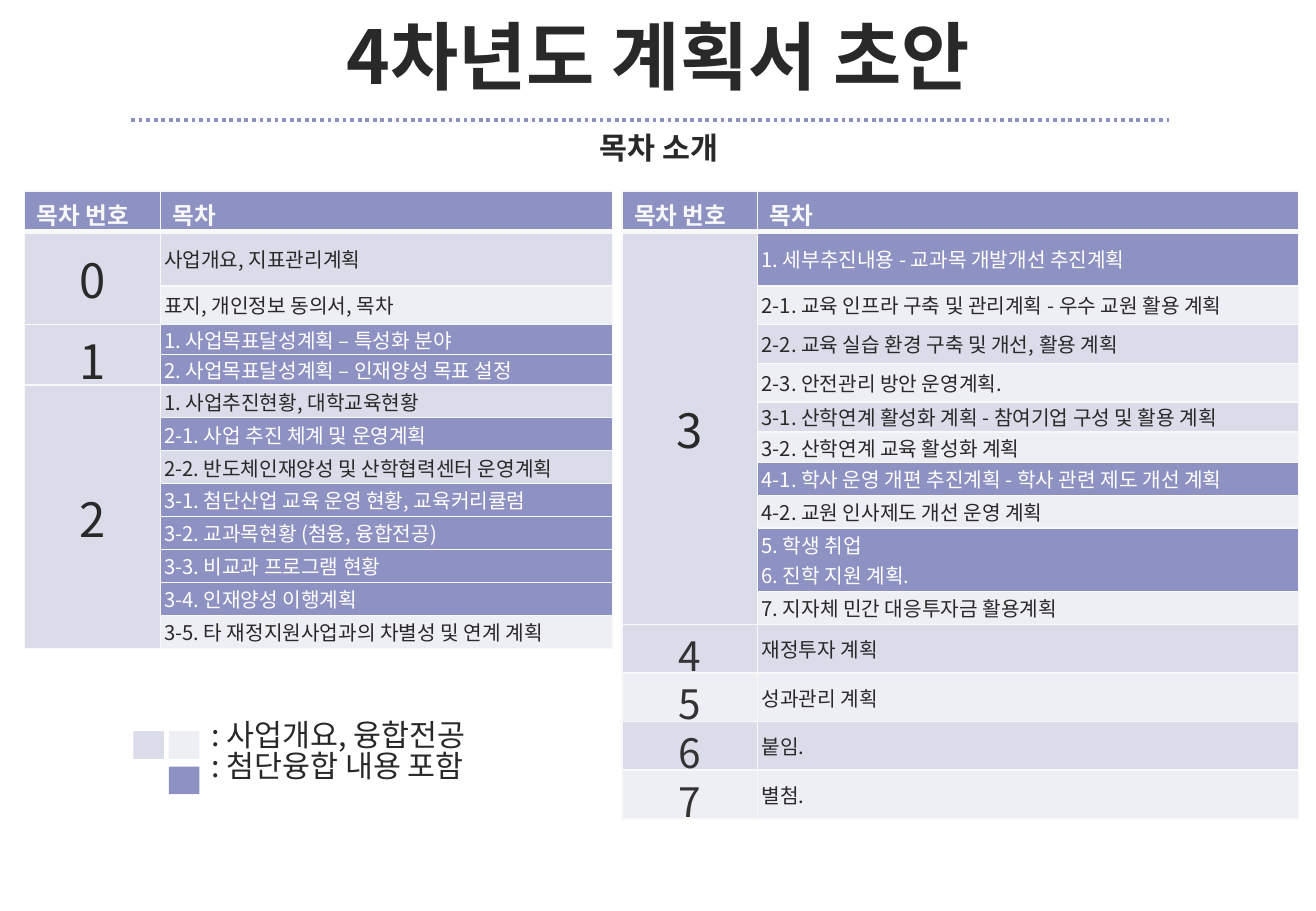
from lxml import etree
from pptx import Presentation
from pptx import util as u
from pptx.dml.color import RGBColor
from pptx.enum import dml, shapes, text
from pptx.oxml.ns import qn

FONT = "Noto Sans CJK KR"
COLORS = {"accent": "8D92C3", "mid": "DBDCE9", "pale": "EEEEF5", "edge": "F8F8F8",
          "ink": "292929", "number": "333333", "white": "FFFFFF"}

TITLE = "4차년도 계획서 초안"
SUBTITLE = "목차 소개"
HEADER = ("목차 번호", "목차")
LEGEND = [": 사업개요, 융합전공", ": 첨단융합 내용 포함"]
SWATCHES = [(3.53, 16.03, "accent"), (3.53, 15.29, "pale"), (2.79, 15.29, "mid")]

# Section: number, size, colour, entries; entry: text, fill, row height in cm
LEFT_SECTIONS = [
    ("0", 28, "ink", [
        ("사업개요, 지표관리계획", "mid", 1.14),
        ("표지, 개인정보 동의서, 목차", "pale", 0.81)]),
    ("1", 28, "ink", [
        ("1. 사업목표달성계획 – 특성화 분야", "accent", 0.63),
        ("2. 사업목표달성계획 – 인재양성 목표 설정", "accent", 0.63)]),
    ("2", 28, "ink", [
        ("1. 사업추진현황, 대학교육현황", "mid", 0.69),
        ("2-1. 사업 추진 체계 및 운영계획", "accent", 0.69),
        ("2-2. 반도체인재양성 및 산학협력센터 운영계획", "mid", 0.69),
        ("3-1. 첨단산업 교육 운영 현황, 교육커리큘럼", "accent", 0.69),
        ("3-2. 교과목현황 (첨융, 융합전공)", "accent", 0.69),
        ("3-3. 비교과 프로그램 현황", "accent", 0.69),
        ("3-4. 인재양성 이행계획", "accent", 0.69),
        ("3-5. 타 재정지원사업과의 차별성 및 연계 계획", "pale", 0.69)]),
]
RIGHT_SECTIONS = [
    ("3", 28, "ink", [
        ("1. 세부추진내용 - 교과목 개발개선 추진계획", "accent", 1.14),
        ("2-1. 교육 인프라 구축 및 관리계획 - 우수 교원 활용 계획", "pale", 0.81),
        ("2-2. 교육 실습 환경 구축 및 개선, 활용 계획", "mid", 0.81),
        ("2-3. 안전관리 방안 운영계획.", "pale", 0.81),
        ("3-1. 산학연계 활성화 계획 - 참여기업 구성 및 활용 계획", "mid", 0.63),
        ("3-2. 산학연계 교육 활성화 계획", "pale", 0.63),
        ("4-1. 학사 운영 개편 추진계획 - 학사 관련 제도 개선 계획", "accent", 0.69),
        ("4-2. 교원 인사제도 개선 운영 계획", "pale", 0.69),
        ("5. 학생 취업\n6. 진학 지원 계획.", "accent", 1.32),
        ("7. 지자체 민간 대응투자금 활용계획", "pale", 0.69)]),
    ("4", 24, "number", [("재정투자 계획", "mid", 0.69)]),
    ("5", 24, "number", [("성과관리 계획", "pale", 0.69)]),
    ("6", 24, "number", [("붙임.", "mid", 0.69)]),
    ("7", 24, "number", [("별첨.", "pale", 0.69)]),
]
TABLES = [(0.51, 9.45, LEFT_SECTIONS), (13.0, 11.3, RIGHT_SECTIONS)]
TABLE_TOP, NUMBER_WIDTH, HEADER_HEIGHT = 3.99, 2.84, 0.76


def color(name):
    return RGBColor.from_string(COLORS[name])


def write(frame, content, size, ink, bold=False, align=text.PP_ALIGN.LEFT, spacing=None):
    frame.text = content
    for paragraph in frame.paragraphs:
        paragraph.alignment = align
        if spacing:
            paragraph.line_spacing = spacing
        for run in paragraph.runs:
            run.font.size = u.Pt(size)
            run.font.bold = bold
            run.font.name = FONT
            run.font.color.rgb = color(ink)
            etree.SubElement(run.font._element, qn("a:ea"), typeface=FONT)


def add_text(slide, box, content, size, **style):
    frame = slide.shapes.add_textbox(*map(u.Cm, box)).text_frame
    frame.word_wrap = True
    frame.auto_size = text.MSO_AUTO_SIZE.SHAPE_TO_FIT_TEXT
    write(frame, content, size, "ink", **style)


def style_cell(cell, fill, bottom=1, compact=True):
    """Set borders (widths in points), fill, anchor and, if compact, narrow margins."""
    properties = cell._tc.get_or_add_tcPr()
    for side, width in (("L", 1), ("R", 1), ("T", 1), ("B", bottom)):
        line = etree.SubElement(properties, qn(f"a:ln{side}"), w=str(u.Pt(width)))
        solid = etree.SubElement(line, qn("a:solidFill"))
        etree.SubElement(solid, qn("a:srgbClr"), val=COLORS["edge"])
    cell.fill.solid()
    cell.fill.fore_color.rgb = color(fill)
    cell.vertical_anchor = text.MSO_ANCHOR.MIDDLE
    if compact:
        cell.margin_left = cell.margin_right = u.Cm(0.08)
        cell.margin_top = cell.margin_bottom = 0


def add_contents(slide, left, entry_width, sections):
    heights = [HEADER_HEIGHT] + [entry[2] for section in sections for entry in section[3]]
    table = slide.shapes.add_table(
        len(heights), 2, u.Cm(left), u.Cm(TABLE_TOP),
        u.Cm(NUMBER_WIDTH + entry_width), u.Cm(sum(heights))).table
    table.horz_banding = False
    for column, width in zip(table.columns, (NUMBER_WIDTH, entry_width)):
        column.width = u.Cm(width)
    for row, height in zip(table.rows, heights):
        row.height = u.Cm(height)
    for index, label in enumerate(HEADER):
        cell = table.cell(0, index)
        style_cell(cell, "accent", bottom=3, compact=False)
        write(cell.text_frame, label, 14, "edge", bold=True)

    first = 1
    for number, size, ink, entries in sections:
        number_fill = "mid" if len(entries) > 1 else entries[0][1]
        for row, (content, fill, _) in enumerate(entries, first):
            style_cell(table.cell(row, 0), number_fill)
            style_cell(table.cell(row, 1), fill)
            write(table.cell(row, 1).text_frame, content, 12,
                  "white" if fill == "accent" else "ink")
        top = table.cell(first, 0)
        write(top.text_frame, number, size, ink, align=text.PP_ALIGN.CENTER)
        if len(entries) > 1:
            top.merge(table.cell(first + len(entries) - 1, 0))
        first += len(entries)


def main():
    presentation = Presentation()
    presentation.slide_width, presentation.slide_height = u.Cm(27.51), u.Cm(19.05)
    slide = presentation.slides.add_slide(presentation.slide_layouts[6])

    rule = slide.shapes.add_connector(
        shapes.MSO_CONNECTOR.STRAIGHT, u.Cm(2.74), u.Cm(2.51), u.Cm(24.43), u.Cm(2.51))
    rule.line.color.rgb = color("accent")
    rule.line.width = u.Pt(2.25)
    rule.line.dash_style = dml.MSO_LINE.ROUND_DOT
    etree.SubElement(rule._element.spPr, qn("a:effectLst"))

    center = text.PP_ALIGN.CENTER
    add_text(slide, (1.37, 0.3, 24.79, 2.13), TITLE, 44, bold=True, align=center, spacing=0.9)
    for left, entry_width, sections in TABLES:
        add_contents(slide, left, entry_width, sections)
    add_text(slide, (2.44, 2.67, 22.66, 1.02), SUBTITLE, 18, bold=True, align=center, spacing=0.9)
    add_text(slide, (4.17, 14.96, 7.65, 1.8), "\n".join(LEGEND), 18, spacing=0.85)

    for left, top, fill in SWATCHES:
        swatch = slide.shapes.add_shape(
            shapes.MSO_SHAPE.RECTANGLE, u.Cm(left), u.Cm(top), u.Cm(0.64), u.Cm(0.58))
        swatch.shadow.inherit = False
        swatch.fill.solid()
        swatch.fill.fore_color.rgb = color(fill)
        swatch.line.fill.background()

    presentation.save("out.pptx")


if __name__ == "__main__":
    main()
